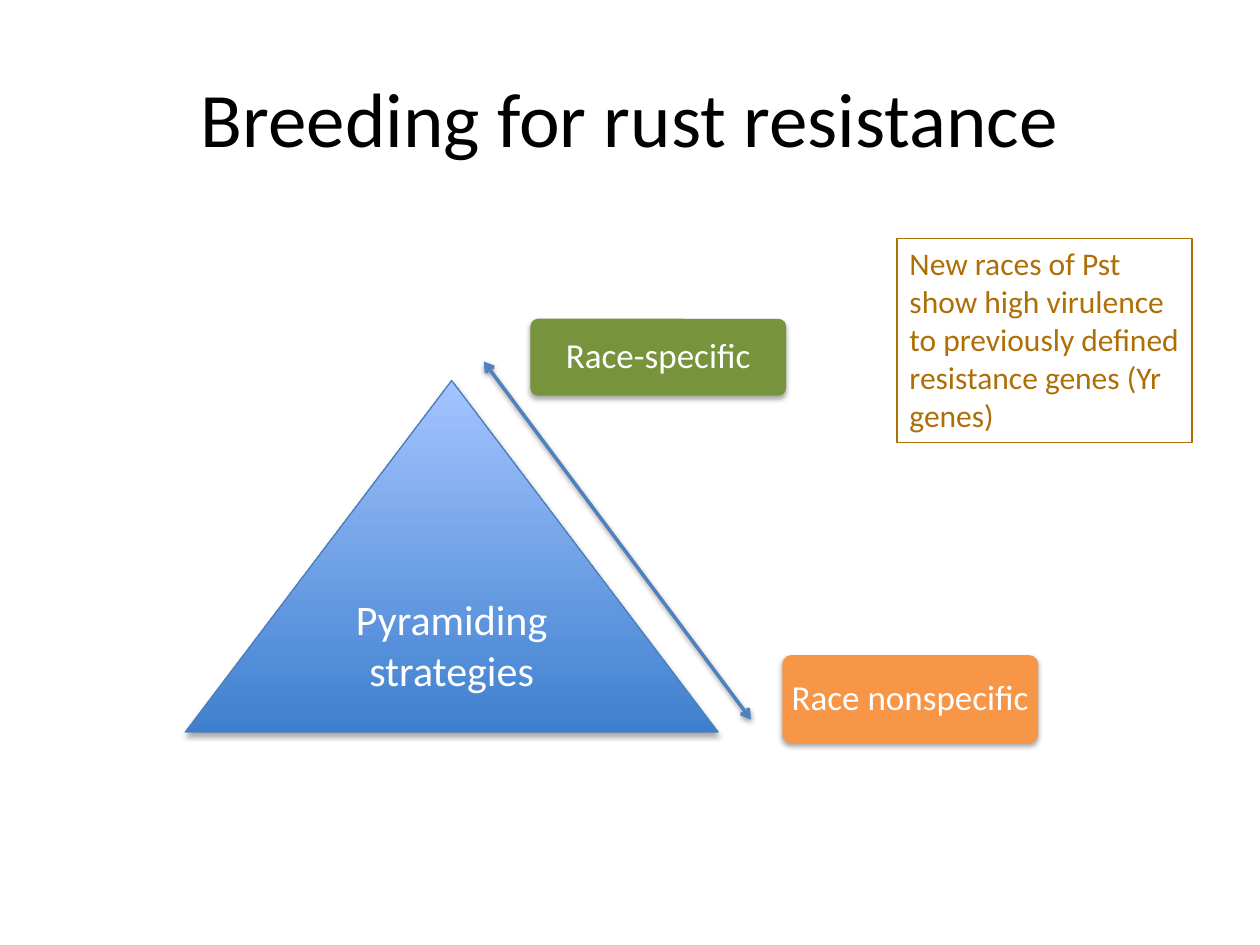
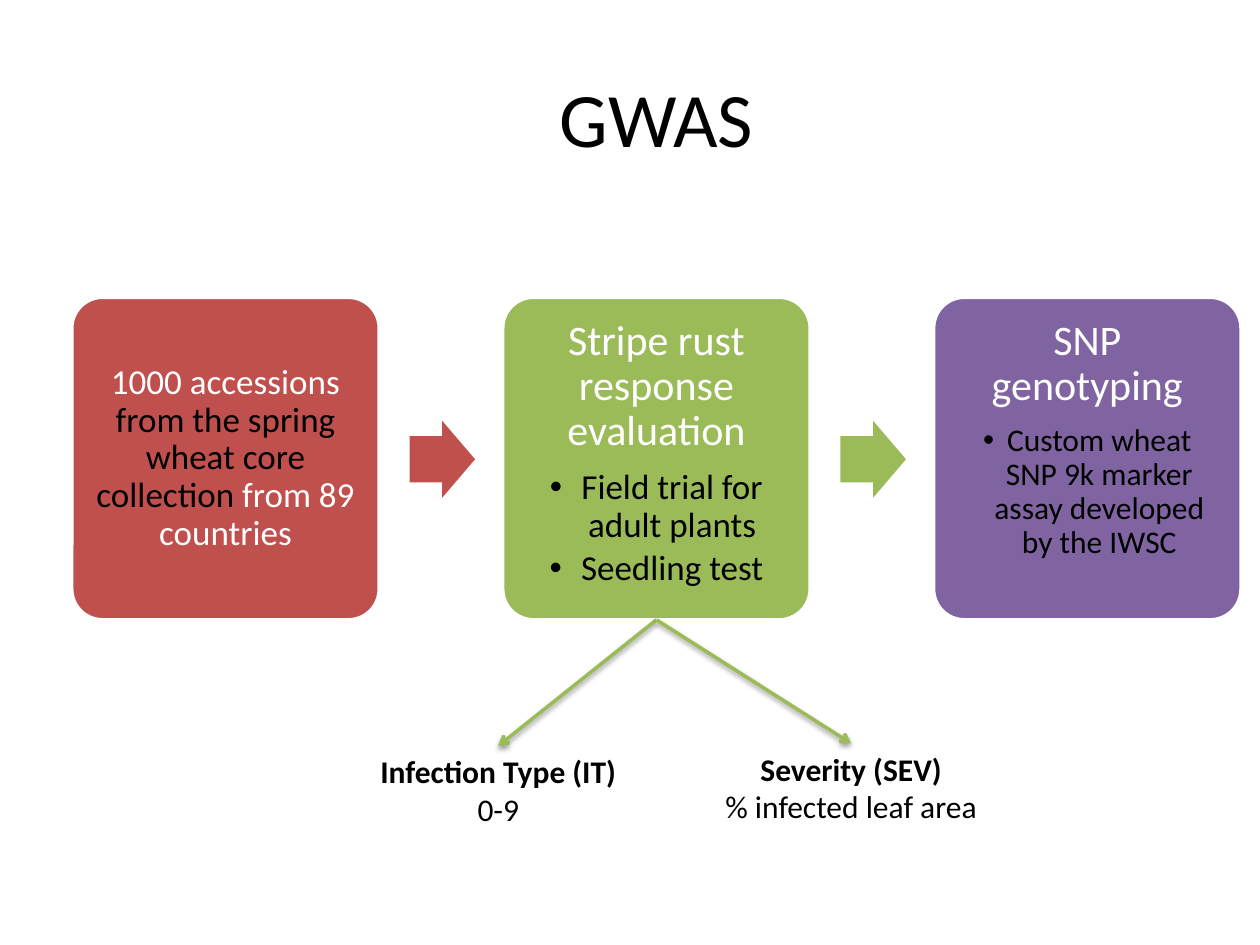
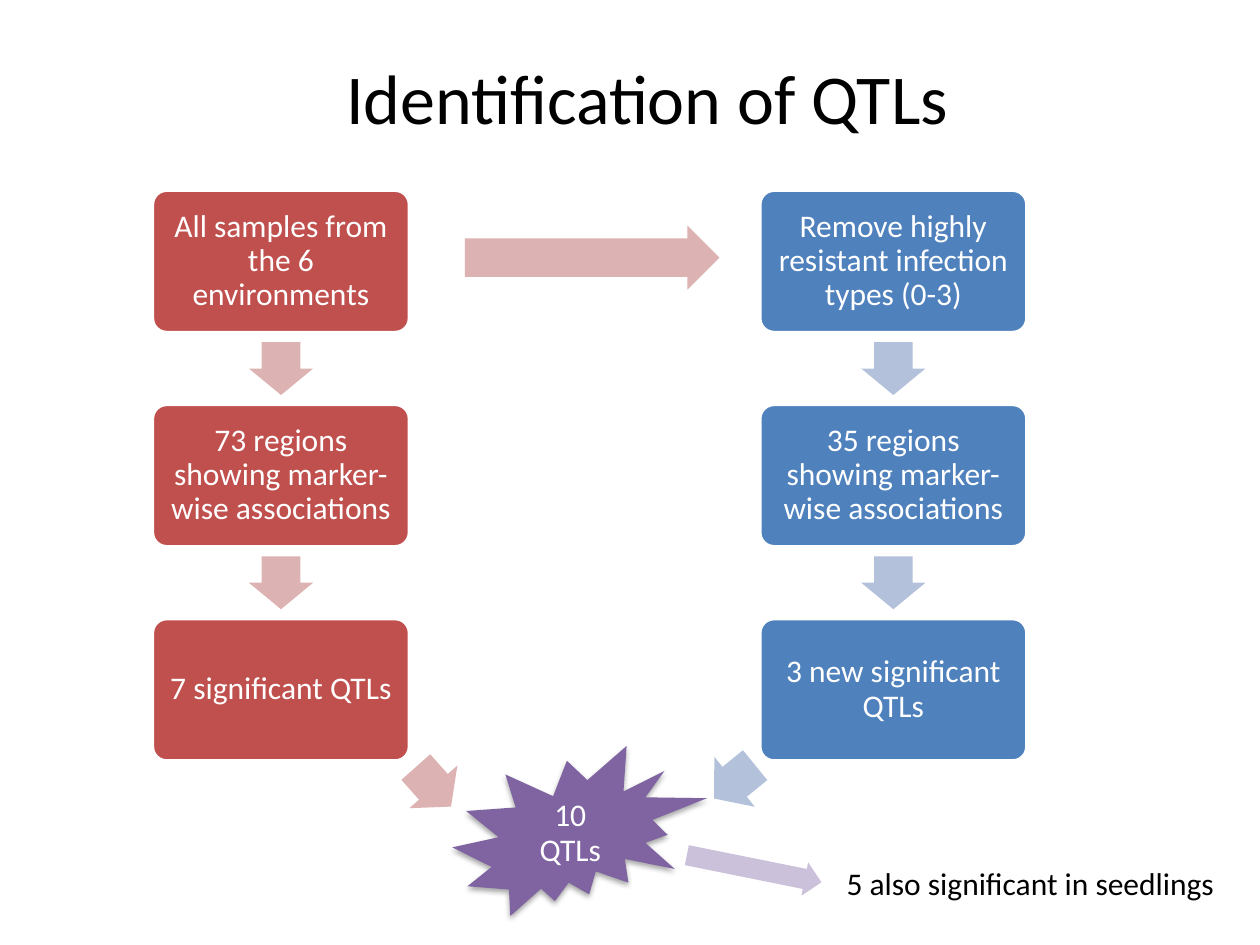
from dataclasses import dataclass

from lxml.etree import SubElement
from pptx import Presentation
from pptx.dml.color import RGBColor
from pptx.enum.shapes import MSO_CONNECTOR as Connector, MSO_SHAPE as Preset
from pptx.enum.text import MSO_ANCHOR as Anchor, PP_ALIGN as Align
from pptx.oxml.ns import qn
from pptx.util import Inches, Pt


@dataclass(frozen=True)
class Theme:
    font: str = "Calibri"
    black: str = "000000"
    white: str = "FFFFFF"
    red: str = "C0504D"
    pale_red: str = "DCB3B2"
    blue: str = "4F81BD"
    pale_blue: str = "B3C1DB"
    deep_blue: str = "3F80CE"
    sky: str = "A4C4FF"
    outline: str = "4B7EBC"
    green: str = "9BBB59"
    olive: str = "77933C"
    orange: str = "F79646"
    ochre: str = "AE6F06"
    purple: str = "8064A2"
    pale_purple: str = "CCC1DA"
    title: int = 44
    small_title: int = 40
    heading: int = 24
    label: int = 20
    note: int = 18


THEME = Theme()


@dataclass(frozen=True)
class Line:
    text: object
    size: int
    color: str = THEME.white
    bold: bool = False
    hang: float = 0
    after: float = 0
    spacing: float = 0.9


def rgb(color):
    return RGBColor.from_string(color)


class Deck:
    def __init__(self, theme):
        self.theme = theme
        self.show = Presentation()
        self.show.slide_width, self.show.slide_height = Inches(10), Inches(7.5)
        self.page = None

    def new_page(self, title, left, top, width, size, anchor=Anchor.MIDDLE):
        self.page = self.show.slides.add_slide(self.show.slide_layouts[5])
        box = self.page.shapes.title
        box.left, box.top = Inches(left), Inches(top)
        box.width, box.height = Inches(width), Inches(1.25)
        line = Line(title, size, self.theme.black, spacing=1)
        self.set_text(box.text_frame, [line], anchor, 0.1)

    def set_text(self, frame, lines, anchor, inset, align=Align.CENTER):
        frame.word_wrap = True
        frame.vertical_anchor = anchor
        frame.margin_left = frame.margin_right = Inches(inset)
        frame.margin_top = frame.margin_bottom = Inches(min(inset, 0.05)
                                                        if inset == 0.1
                                                        and anchor != Anchor.TOP
                                                        else inset)
        for index, line in enumerate(lines):
            para = frame.add_paragraph() if index else frame.paragraphs[0]
            para.alignment = align
            para.line_spacing = line.spacing
            para.space_before = Pt(0)
            para.space_after = Pt(line.after)
            if line.hang:
                self.add_bullet(para, line.hang)
            para.font.name = self.theme.font
            para.font.size = Pt(line.size)
            para.font.bold = line.bold
            if isinstance(line.text, str):
                para.font.color.rgb = rgb(line.color)
                para.add_run().text = line.text
            else:
                for text, color in line.text:
                    span = para.add_run()
                    span.text = text
                    span.font.color.rgb = rgb(color)

    def add_bullet(self, para, hang):
        para.level = 1
        props = para._p.get_or_add_pPr()
        props.set("marL", str(Inches(hang)))
        props.set("indent", str(-Inches(hang)))
        SubElement(props, qn("a:buFont"), typeface="Arial")
        SubElement(props, qn("a:buChar"), char="•")

    def add_shadow(self, shape, alpha, distance):
        props = shape._element.spPr
        effects = props.find(qn("a:effectLst"))
        if effects is None:
            effects = SubElement(props, qn("a:effectLst"))
        shadow = SubElement(
            effects, qn("a:outerShdw"), blurRad=str(Pt(3.1)),
            dist=str(Pt(distance)), dir="5400000", rotWithShape="0")
        color = SubElement(shadow, qn("a:srgbClr"), val=self.theme.black)
        SubElement(color, qn("a:alpha"), val=str(alpha * 1000))

    def add_shape(self, preset, left, top, width, height, fill,
                  line=None, line_width=0.75, shadow=False):
        shape = self.page.shapes.add_shape(
            preset, Inches(left), Inches(top), Inches(width), Inches(height))
        shape.fill.solid()
        shape.fill.fore_color.rgb = rgb(fill)
        if line:
            shape.line.color.rgb = rgb(line)
            shape.line.width = Pt(line_width)
        else:
            shape.line.fill.background()
        shape.shadow.inherit = False
        if shadow:
            self.add_shadow(shape, 35, 1.8)
        return shape

    def add_card(self, left, top, width, height, fill, lines, inset,
                 anchor=Anchor.MIDDLE, line=None, shadow=False):
        card = self.add_shape(Preset.ROUNDED_RECTANGLE, left, top, width,
                              height, fill, line, 2, shadow)
        card.adjustments[0] = 0.1
        self.set_text(card.text_frame, lines, anchor, inset)
        return card

    def add_block_arrow(self, left, top, width, height, fill, rotation=0):
        arrow = self.add_shape(
            Preset.RIGHT_ARROW, left, top, width, height, fill)
        arrow.adjustments[0], arrow.adjustments[1] = 0.6, 0.5
        arrow.rotation = rotation

    def add_text(self, left, top, width, height, lines, align=Align.CENTER,
                 outline=None):
        box = self.page.shapes.add_textbox(
            Inches(left), Inches(top), Inches(width), Inches(height))
        self.set_text(box.text_frame, lines, Anchor.TOP, 0.1, align)
        box.text_frame.margin_top = box.text_frame.margin_bottom = Inches(0.05)
        if outline:
            box.line.color.rgb = rgb(outline)
            box.line.width = Pt(0.75)
        return box

    def add_arrow(self, color, ends, points=(0, 0, 0, 0), joined=()):
        arrow = self.page.shapes.add_connector(
            Connector.STRAIGHT, *[Inches(point) for point in points])
        if joined:
            source, target = joined
            arrow.begin_connect(source, 2)
            arrow.end_connect(target, 0)
        arrow.line.color.rgb = rgb(color)
        arrow.line.width = Pt(2)
        stroke = arrow._element.spPr.find(qn("a:ln"))
        for end in ends:
            SubElement(stroke, qn(f"a:{end}"), type="arrow")
        self.add_shadow(arrow, 38, 1.6)


def build_breeding(deck):
    theme = deck.theme
    deck.new_page("Breeding for rust resistance", 0.5, 0.3, 9, theme.title)
    pyramid = deck.add_shape(Preset.ISOSCELES_TRIANGLE, 1.47, 3.02, 4.23, 2.79,
                             theme.sky, theme.outline, shadow=True)
    pyramid.fill.gradient()
    pyramid.fill.gradient_angle = 90
    for stop, color in zip(pyramid.fill.gradient_stops,
                           (theme.deep_blue, theme.sky)):
        stop.color.rgb = rgb(color)
    deck.set_text(pyramid.text_frame,
                  [Line("Pyramiding strategies", theme.heading, spacing=1)],
                  Anchor.MIDDLE, 0.1)
    for text, left, top, height, fill in (
            ("Race-specific", 4.21, 2.53, 0.61, theme.olive),
            ("Race nonspecific", 6.21, 5.2, 0.7, theme.orange)):
        deck.add_card(left, top, 2.03, height, fill,
                      [Line(text, theme.label)], 0.01, shadow=True)
    deck.add_arrow(theme.blue, ("headEnd", "tailEnd"),
                   (3.84, 2.87, 5.96, 5.71))
    warning = ("New races of Pst show high virulence to previously defined "
               "resistance genes (Yr genes)")
    deck.add_text(7.12, 1.89, 2.34, 1.62,
                  [Line(warning, theme.note, theme.ochre, spacing=1)],
                  Align.LEFT, theme.ochre)


def build_gwas(deck):
    theme = deck.theme
    deck.new_page("GWAS", 0.71, 0.3, 9, theme.title)
    accessions = [("1000 accessions ", theme.white),
                  ("from the spring wheat core collection ", theme.black),
                  ("from 89 countries", theme.white)]
    assay = "Custom wheat SNP 9k marker assay developed by the IWSC"
    steps = (
        (theme.red, Anchor.MIDDLE, 0.08, [Line(accessions, theme.label)]),
        (theme.green, Anchor.TOP, 0.1, [
            Line("Stripe rust response evaluation", theme.heading, after=8.4),
            Line("Field trial for adult plants", theme.label, theme.black,
                 hang=0.25, after=3),
            Line("Seedling test", theme.label, theme.black, hang=0.25)]),
        (theme.purple, Anchor.TOP, 0.1, [
            Line("SNP genotyping", theme.heading, after=8.4),
            Line(assay, theme.note, theme.black, hang=0.19)]),
    )
    cards = []
    for index, (fill, anchor, inset, lines) in enumerate(steps):
        shift = 3.42 * index
        cards.append(deck.add_card(0.57 + shift, 2.36, 2.44, 2.56, fill, lines,
                                   inset, anchor, theme.white))
        if index < len(steps) - 1:
            deck.add_block_arrow(3.25 + shift, 3.34, 0.52, 0.61, fill)
    for name, scale, left, top, width in (
            ("Infection Type (IT)", "0-9", 2.79, 5.92, 2.33),
            ("Severity (SEV)", "% infected leaf area", 5.6, 5.9, 2.31)):
        measure = deck.add_text(left, top, width, 0.71, [
            Line(name, theme.note, theme.black, bold=True, spacing=1),
            Line(scale, theme.note, theme.black, spacing=1)])
        deck.add_arrow(theme.green, ("tailEnd",), joined=(cards[1], measure))


def build_qtls(deck):
    theme = deck.theme
    deck.new_page("Identification of QTLs", 0.43, 0.33, 9.41,
                  theme.small_title, Anchor.TOP)
    columns = (
        (1.21, 2.04, theme.red, theme.pale_red,
         ("All samples from the 6 environments",
          "73 regions showing marker-wise associations",
          "7 significant QTLs")),
        (6.03, 2.12, theme.blue, theme.pale_blue,
         ("Remove highly resistant infection types (0-3)",
          "35 regions showing marker-wise associations",
          "3 new significant QTLs")),
    )
    for left, width, fill, pale, texts in columns:
        for row, text in enumerate(texts):
            drop = 1.7 * row
            deck.add_card(left, 1.51 + drop, width, 1.13, fill,
                          [Line(text, theme.note)], 0.07, line=theme.white)
            if row < len(texts) - 1:
                deck.add_block_arrow(left + width / 2 - 0.21, 2.67 + drop,
                                     0.42, 0.51, pale, 90)
    burst = deck.add_shape(Preset.EXPLOSION2, 3.59, 5.92, 2.02, 1.35,
                           theme.purple, shadow=True)
    deck.set_text(burst.text_frame, [Line("10 QTLs", theme.note)],
                  Anchor.MIDDLE, 0.08)
    for arrow in ((3.69, 1.79, 2.02, 0.51, theme.pale_red),
                  (3.23, 5.99, 0.42, 0.51, theme.pale_red, 48.3),
                  (5.62, 5.95, 0.42, 0.51, theme.pale_blue, 140.9),
                  (5.44, 6.76, 1.09, 0.27, theme.pale_purple, 11.4)):
        deck.add_block_arrow(*arrow)
    deck.add_text(6.62, 6.81, 3.15, 0.4,
                  [Line("5 also significant in seedlings", theme.note,
                        theme.black, spacing=1)], Align.LEFT)


def main():
    deck = Deck(THEME)
    build_breeding(deck)
    build_gwas(deck)
    build_qtls(deck)
    deck.show.save("out.pptx")


if __name__ == "__main__":
    main()
